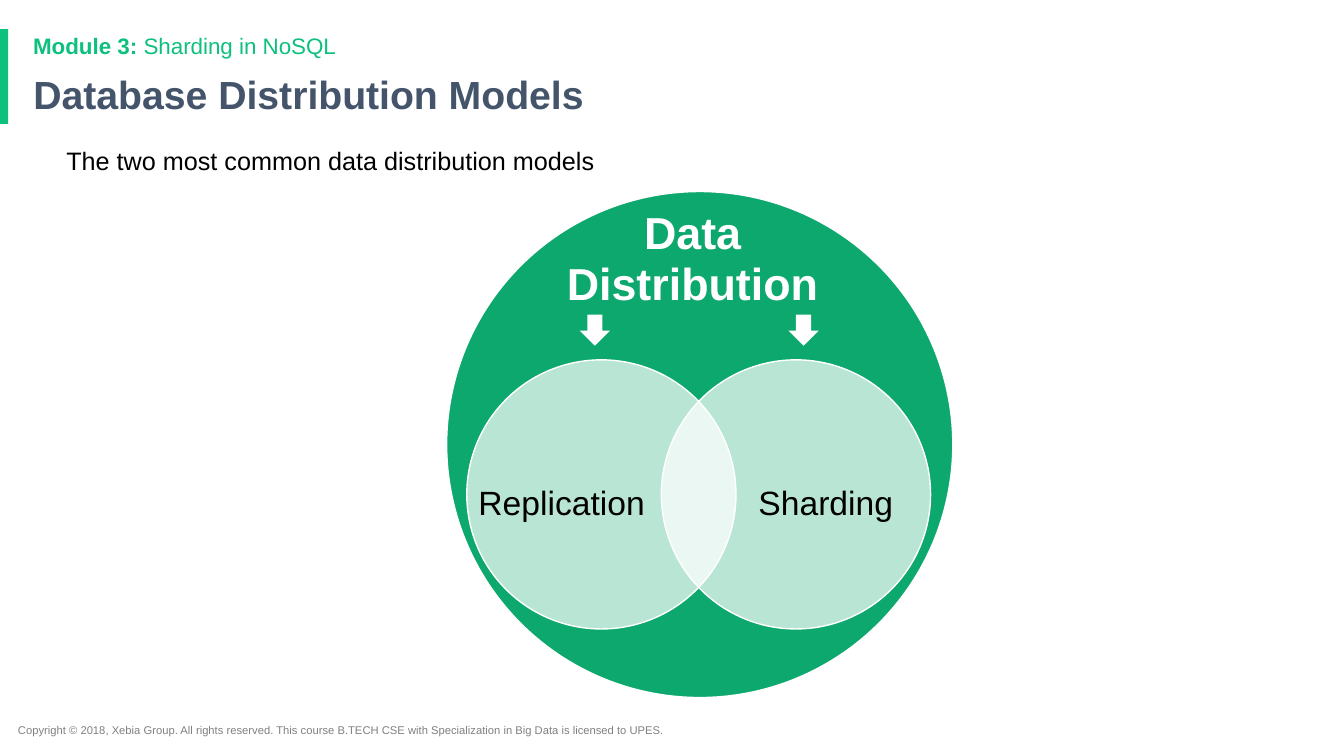
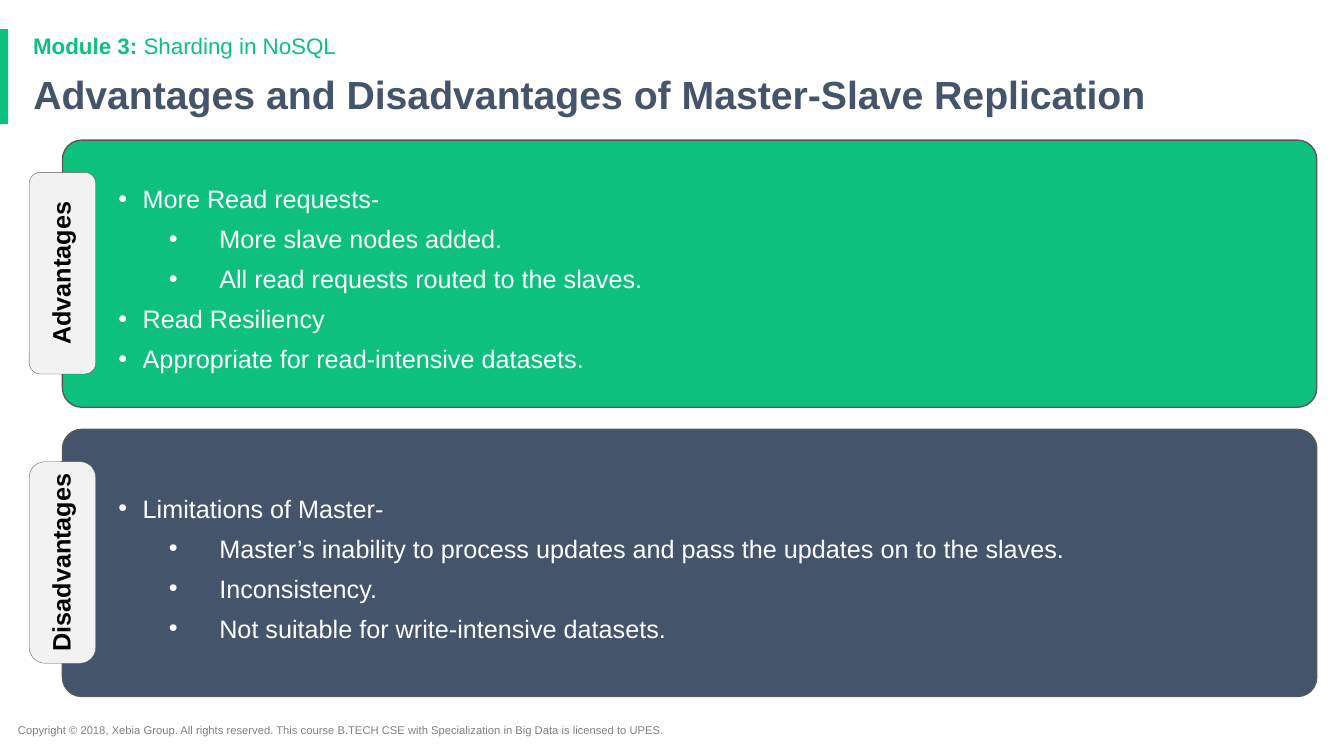
from dataclasses import dataclass
from typing import Any

from lxml import etree
from pptx import Presentation
from pptx.dml.color import RGBColor
from pptx.enum.shapes import MSO_SHAPE as SHAPE
from pptx.enum.text import MSO_ANCHOR as ANCHOR, PP_ALIGN as ALIGN
from pptx.oxml.ns import qn
from pptx.util import Inches, Pt

GREEN = RGBColor(0x0E, 0xC0, 0x7D)
DEEP_GREEN = RGBColor(0x0C, 0xA8, 0x6D)
SLATE = RGBColor(0x44, 0x54, 0x6A)
GREY = RGBColor(0x80, 0x80, 0x80)
OUTLINE = RGBColor(0x59, 0x59, 0x59)
TAB_GREY = RGBColor(0xF2, 0xF2, 0xF2)
BLACK = RGBColor(0, 0, 0)
WHITE = RGBColor(0xFF, 0xFF, 0xFF)

FONT = "Arial"
COPYRIGHT = (
    "Copyright © 2018, Xebia Group. All rights reserved. "
    "This course B.TECH CSE with Specialization in Big Data is licensed to UPES."
)
BULLET_INDENTS = {0: (0.24, 0.24), 1: (1, 0.5)}


@dataclass(frozen=True)
class Box:
    left: float
    top: float
    width: float
    height: float

    def emu(self) -> list[int]:
        return [Inches(v) for v in (self.left, self.top, self.width, self.height)]


@dataclass(frozen=True)
class Style:
    size: float
    color: RGBColor
    bold: bool = False


@dataclass(frozen=True)
class Label:
    text: str
    box: Box
    style: Style


@dataclass(frozen=True)
class Panel:
    name: str
    top: float
    fill: RGBColor
    tab_corner: float
    items: tuple[tuple[int, str], ...]


TITLE = Style(28, SLATE, True)
BODY = Style(18, BLACK)
ITEM = Style(18, WHITE)
TAB = Style(18, BLACK, True)
CIRCLE_NAME = Style(24, BLACK)

CIRCLE_LABELS = (
    Label("Data\vDistribution", Box(5.37, 2.08, 3, 1), Style(32, WHITE, True)),
    Label("Sharding", Box(7.19, 4.8, 2, 0.4), CIRCLE_NAME),
    Label("Replication", Box(4.57, 4.8, 2, 0.4), CIRCLE_NAME),
)

PANELS = (
    Panel("Advantages", 1.39, GREEN, 0.167, (
        (0, "More Read requests-"),
        (1, "More slave nodes added."),
        (1, "All read requests routed to the slaves."),
        (0, "Read Resiliency"),
        (0, "Appropriate for read-intensive datasets."),
    )),
    Panel("Disadvantages", 4.26, SLATE, 0.237, (
        (0, "Limitations of Master-"),
        (1, "Master’s inability to process updates and pass the updates on to the slaves."),
        (1, "Inconsistency."),
        (1, "Not suitable for write-intensive datasets."),
    )),
)


def apply(target: Any, values: dict[str, Any]) -> None:
    for name, value in values.items():
        setattr(target, name, value)


def add_run(p: Any, text: str, style: Style) -> None:
    for i, line in enumerate(text.split("\v")):
        if i:
            p.add_line_break()
        r = p.add_run()
        r.text = line
        apply(r.font, {"name": FONT, "size": Pt(style.size), "bold": style.bold})
        r.font.color.rgb = style.color


def set_frame(tf: Any, anchor: Any, insets: tuple[float, ...]) -> None:
    sides = ("margin_left", "margin_top", "margin_right", "margin_bottom")
    margins = dict(zip(sides, map(Inches, insets)))
    apply(tf, {"word_wrap": True, "vertical_anchor": anchor, **margins})


def add_text(s: Any, label: Label, anchor: Any = ANCHOR.MIDDLE,
             align: Any = ALIGN.LEFT, spacing: float = 0.9) -> Any:
    tf = s.shapes.add_textbox(*label.box.emu()).text_frame
    set_frame(tf, anchor, (0.1, 0.05, 0.1, 0.05))
    p = tf.paragraphs[0]
    apply(p, {"alignment": align, "line_spacing": spacing})
    add_run(p, label.text, label.style)
    return p


def add_shape(s: Any, kind: Any, box: Box, fill: RGBColor,
              line: RGBColor | None = None, weight: float = 1) -> Any:
    sp = s.shapes.add_shape(kind, *box.emu())
    sp.shadow.inherit = False
    sp.fill.solid()
    sp.fill.fore_color.rgb = fill
    if line is None:
        sp.line.fill.background()
    else:
        sp.line.color.rgb = line
        sp.line.width = Pt(weight)
    return sp


def set_opacity(sp: Any, percent: int) -> None:
    color = sp.fill._xPr.find(qn("a:solidFill"))[0]
    etree.SubElement(color, qn("a:alpha"), val=str(percent * 1000))


def add_bullet(p: Any, level: int) -> None:
    margin, hanging = BULLET_INDENTS[level]
    pPr = p._p.get_or_add_pPr()
    pPr.set("marL", str(Inches(margin)))
    pPr.set("indent", str(-Inches(hanging)))
    etree.SubElement(pPr, qn("a:buFont"), typeface=FONT)
    etree.SubElement(pPr, qn("a:buChar"), char="•")


def add_slide(prs: Any, title: str) -> Any:
    s = prs.slides.add_slide(prs.slide_layouts[5])
    add_shape(s, SHAPE.RECTANGLE, Box(0, 0.29, 0.08, 0.94), GREEN)
    add_text(s, Label(COPYRIGHT, Box(0.08, 7.12, 7.13, 0.24), Style(8, GREY)), spacing=1.0)

    sp = s.shapes.title
    sides = ("left", "top", "width", "height")
    apply(sp, dict(zip(sides, Box(0.23, 0.69, 11.5, 0.54).emu())))
    set_frame(sp.text_frame, ANCHOR.MIDDLE, (0.1, 0.05, 0.1, 0.05))
    p = sp.text_frame.paragraphs[0]
    apply(p, {"alignment": ALIGN.LEFT, "line_spacing": 0.9})
    add_run(p, title, TITLE)

    module = Label("Module 3:", Box(0.23, 0.3, 11.5, 0.33), Style(16, GREEN, True))
    p = add_text(s, module)
    add_run(p, " Sharding in NoSQL", Style(16, GREEN))
    return s


def add_models_slide(prs: Any) -> None:
    s = add_slide(prs, "Database Distribution Models")
    intro = Label("The two most common data distribution models", Box(0.56, 1.43, 11.24, 0.4), BODY)
    add_text(s, intro, ANCHOR.TOP)
    add_shape(s, SHAPE.OVAL, Box(4.43, 1.9, 5.02, 5.02), DEEP_GREEN, WHITE)
    for left in (6.56, 4.63):
        circle = add_shape(s, SHAPE.OVAL, Box(left, 3.57, 2.67, 2.67), WHITE, WHITE)
        set_opacity(circle, 71)
    for left in (5.75, 7.82):
        add_shape(s, SHAPE.DOWN_ARROW, Box(left, 3.12, 0.3, 0.31), WHITE)
    for label in CIRCLE_LABELS:
        add_text(s, label, align=ALIGN.CENTER, spacing=0.95)


def add_panel(s: Any, panel: Panel) -> None:
    box = Box(0.62, panel.top, 12.44, 2.65)
    sp = add_shape(s, SHAPE.ROUNDED_RECTANGLE, box, panel.fill, OUTLINE)
    sp.adjustments[0] = 0.072
    tf = sp.text_frame
    set_frame(tf, ANCHOR.MIDDLE, (0.5, 0.2, 0.1, 0.1))
    for i, (level, text) in enumerate(panel.items):
        p = tf.add_paragraph() if i else tf.paragraphs[0]
        apply(p, {"alignment": ALIGN.LEFT, "space_after": Pt(7), "level": level})
        add_bullet(p, level)
        add_run(p, text, ITEM)

    tab_box = Box(-0.38, panel.top + 0.99, 2, 0.66)
    tab = add_shape(s, SHAPE.ROUNDED_RECTANGLE, tab_box, TAB_GREY, OUTLINE, 0.25)
    tab.rotation = 270
    tab.adjustments[0] = panel.tab_corner
    set_frame(tab.text_frame, ANCHOR.MIDDLE, (0, 0, 0, 0))
    p = tab.text_frame.paragraphs[0]
    apply(p, {"alignment": ALIGN.CENTER, "line_spacing": 0.9})
    add_run(p, panel.name, TAB)


def add_replication_slide(prs: Any) -> None:
    s = add_slide(prs, "Advantages and Disadvantages of Master-Slave Replication")
    for panel in PANELS:
        add_panel(s, panel)


def main() -> None:
    prs = Presentation()
    apply(prs, {"slide_width": Inches(13.33), "slide_height": Inches(7.5)})
    add_models_slide(prs)
    add_replication_slide(prs)
    prs.save("out.pptx")


if __name__ == "__main__":
    main()
